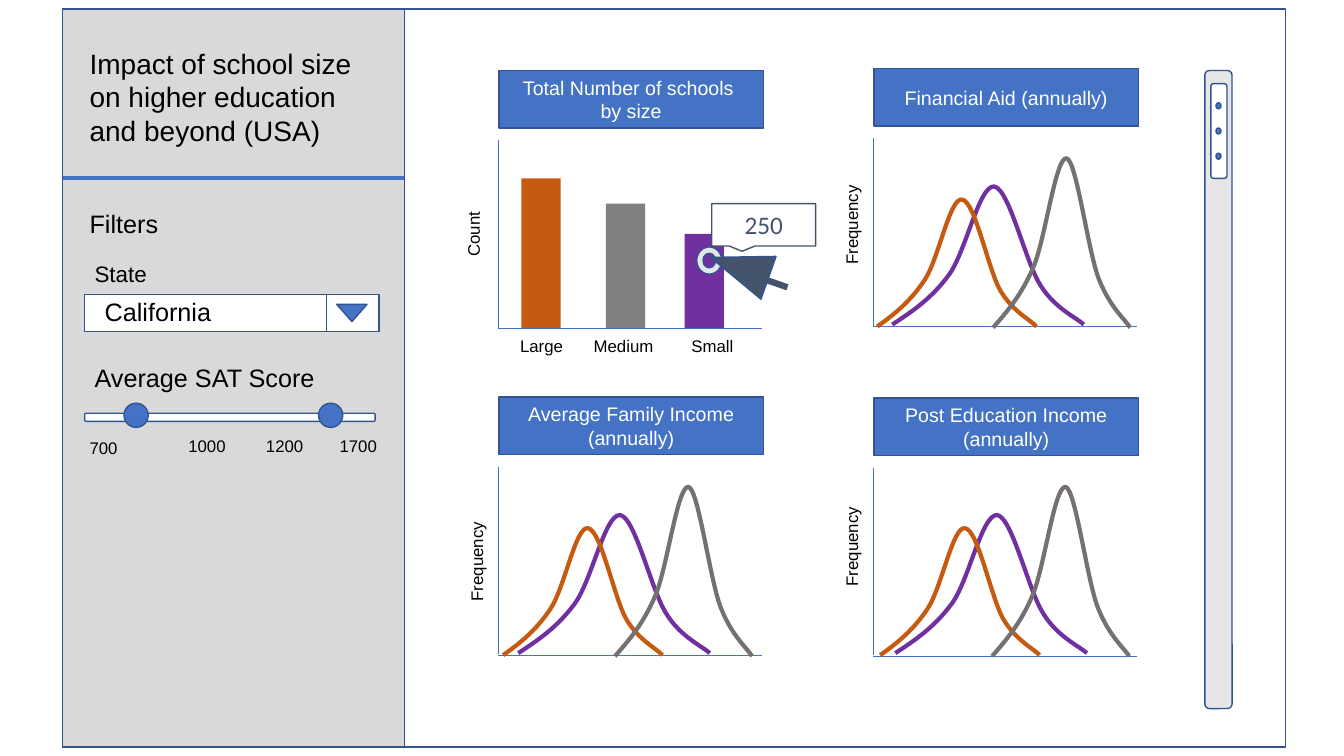
from dataclasses import dataclass

from lxml.etree import SubElement
from pptx import Presentation
from pptx.dml.color import RGBColor
from pptx.enum.shapes import MSO_CONNECTOR, MSO_SHAPE as Kind
from pptx.enum.text import MSO_ANCHOR as Anchor, MSO_AUTO_SIZE as AutoSize, PP_ALIGN as Align
from pptx.oxml.ns import qn
from pptx.util import Emu, Pt

COLUMNS, ROWS, CELL = 1333, 750, 9144  # fine grid; a cell is 9144 EMU


@dataclass(frozen=True)
class Theme:
    accent: str = "4472C4"
    edge: str = "325491"
    panel: str = "D9D9D9"
    pale: str = "E7E6E6"
    slate: str = "44546A"
    orange: str = "C55A11"
    purple: str = "7030A0"
    gray: str = "808080"
    dark_gray: str = "767171"
    white: str = "FFFFFF"
    black: str = "000000"
    font: str = "Arial"
    callout_font: str = "Calibri"
    title: int = 20
    heading: int = 18
    label: int = 16
    header: int = 14
    small: int = 12


THEME = Theme()

# Bezier points of each curve: columns from its start, rows above the baseline
CURVES = [
    (THEME.purple, [(0, 2), (20, 15), (39, 28), (56, 51), (73, 74), (86, 140), (101, 139),
                    (116, 137), (132, 64), (147, 41), (161, 18), (184, 8), (190, 2)]),
    (THEME.orange, [(0, 0), (17, 12), (33, 25), (47, 46), (61, 67), (72, 128), (84, 126),
                    (97, 125), (110, 57), (122, 36), (134, 15), (153, 6), (158, 0)]),
    (THEME.dark_gray, [(0, -1), (14, 15), (28, 31), (40, 59), (52, 87), (62, 169), (73, 167),
                       (83, 164), (94, 75), (105, 47), (116, 19), (131, 7), (136, -1)]),
]


@dataclass(frozen=True)
class Box:
    left: int
    top: int
    width: int
    height: int

    def point(self, x, y):
        return Emu((self.left + x) * CELL), Emu((self.top + y) * CELL)

    def place(self, x, y, width, height):
        return *self.point(x, y), Emu(width * CELL), Emu(height * CELL)


def set_format(target, values):
    for name, value in values.items():
        setattr(target, name, value)


def set_outline(line, color, width):
    line.color.rgb = RGBColor.from_string(color)
    line.width = Pt(width)


def write(shape, lines, size, color=THEME.black, font=THEME.font, align=Align.LEFT, **frame_format):
    frame = shape.text_frame
    set_format(frame, frame_format)
    for number, line in enumerate(lines):
        para = frame.add_paragraph() if number else frame.paragraphs[0]
        para.alignment = align
        span = para.add_run()
        span.text = line
        set_format(span.font, {"size": Pt(size), "name": font})
        span.font.color.rgb = RGBColor.from_string(color)


def add_text(page, place, text, size=THEME.small, wrap=False, rotation=0):
    shape = page.shapes.add_textbox(*place)
    shape.rotation = rotation
    write(shape, [text], size, word_wrap=wrap, auto_size=AutoSize.SHAPE_TO_FIT_TEXT)


def add_block(page, kind, place, fill=None, edge=THEME.edge, rotation=0):
    shape = page.shapes.add_shape(kind, *place)
    shape.rotation = rotation
    shape.shadow.inherit = False
    if fill:
        shape.fill.solid()
        shape.fill.fore_color.rgb = RGBColor.from_string(fill)
    else:
        shape.fill.background()
    if edge:
        set_outline(shape.line, edge, 1)
    else:
        shape.line.fill.background()
    return shape


def add_line(page, start, end, color, width):
    line = page.shapes.add_connector(MSO_CONNECTOR.STRAIGHT, *start, *end)
    set_outline(line.line, color, width)
    SubElement(line._element.spPr, qn("a:effectLst"))


def add_curve(page, box, left, base, color, points):
    spots = [box.point(left + x, base - y) for x, y in points]
    builder = page.shapes.build_freeform(*spots[0])
    builder.add_line_segments(spots[3::3], close=False)
    curve = builder.convert_to_shape()
    # Bend each segment with its two control points
    for number, segment in enumerate(list(curve._element.iter(qn("a:lnTo")))):
        segment.tag = qn("a:cubicBezTo")
        end = segment[0]
        for x, y in spots[3 * number + 1:3 * number + 3]:
            SubElement(segment, qn("a:pt"), x=str(x - curve.left), y=str(y - curve.top))
        segment.append(end)
    curve.fill.background()
    curve.shadow.inherit = False
    set_outline(curve.line, color, 3)


def add_sidebar(page, box):
    add_block(page, Kind.RECTANGLE, box.place(0, 0, box.width, box.height), THEME.panel, None)
    add_text(page, box.place(17, 32, 293, 111),
             "Impact of school size on higher education and beyond (USA)", THEME.title, wrap=True)
    add_line(page, box.point(box.width, 168), box.point(0, 168), THEME.accent, 3)
    add_text(page, box.place(17, 193, 89, 40), "Filters", THEME.heading)
    # State drop-down
    add_text(page, box.place(22, 244, 73, 37), "State", THEME.label)
    for left, width in ((22, 291), (262, 52)):
        add_block(page, Kind.RECTANGLE, box.place(left, 283, width, 37), THEME.white)
    add_block(page, Kind.ISOSCELES_TRIANGLE, box.place(272, 293, 30, 17), THEME.accent, rotation=180)
    add_text(page, box.place(32, 280, 127, 40), "California", THEME.heading)
    # Score slider
    add_text(page, box.place(22, 346, 240, 40), "Average SAT Score", THEME.heading)
    add_block(page, Kind.ROUNDED_RECTANGLE, box.place(22, 401, 288, 8), THEME.white)
    for left in (61, 254):
        add_block(page, Kind.OVAL, box.place(left, 391, 24, 24), THEME.accent)
    for left, top, width, score in ((17, 420, 48, "700"), (115, 418, 57, "1000"),
                                    (192, 418, 57, "1200"), (265, 418, 57, "1700")):
        add_text(page, box.place(left, top, width, 30), score)
    add_block(page, Kind.RECTANGLE, box.place(0, 0, box.width - 1, box.height))


def add_panel(page, box, title, axis_label, label_place):
    header = add_block(page, Kind.RECTANGLE, box.place(0, 0, box.width, 57), THEME.accent)
    write(header, title, THEME.header, THEME.white, align=Align.CENTER,
          vertical_anchor=Anchor.MIDDLE, word_wrap=True)
    add_line(page, box.point(-1, 69), box.point(-1, box.height - 1), THEME.accent, 0.5)
    add_line(page, box.point(-1, box.height), box.point(box.width - 1, box.height), THEME.accent, 0.5)
    add_text(page, box.place(*label_place), axis_label, rotation=270)


def add_bar_panel(page, box):
    for left, height, color in ((22, 149, THEME.orange), (106, 124, THEME.gray), (184, 94, THEME.purple)):
        add_block(page, Kind.RECTANGLE, box.place(left, box.height - height, 39, height), color, None)
    add_panel(page, box, ["Total Number of schools ", "by size"], "Count", (-58, 147, 65, 30))
    for left, width, size_name in ((11, 63, "Large"), (84, 80, "Medium"), (181, 62, "Small")):
        add_text(page, box.place(left, box.height + 2, width, 30), size_name)
    # Pointer with value callout
    add_line(page, box.point(257, 205), box.point(286, 215), THEME.slate, 4.5)
    callout = add_block(page, Kind.RECTANGULAR_CALLOUT, box.place(211, 132, 103, 42), THEME.white, THEME.slate)
    write(callout, ["250"], THEME.heading, THEME.slate, THEME.callout_font, Align.CENTER,
          vertical_anchor=Anchor.MIDDLE)
    add_block(page, Kind.DONUT, box.place(196, 175, 25, 27), THEME.pale)
    add_block(page, Kind.ISOSCELES_TRIANGLE, box.place(216, 165, 45, 61), THEME.slate, rotation=289.4)


def add_curve_panel(page, box, title, label_top, curve_lefts, lift=0):
    add_panel(page, box, [title], "Frequency", (-72, label_top, 99, 30))
    for left, (color, points) in zip(curve_lefts, CURVES):
        add_curve(page, box, left, box.height - lift, color, points)


def add_scroll_bar(page, box):
    add_block(page, Kind.ROUNDED_RECTANGLE, box.place(0, 0, box.width, box.height), THEME.pale)
    add_block(page, Kind.ROUNDED_RECTANGLE, box.place(6, 13, 16, 94), THEME.white)
    for number in range(3):
        add_block(page, Kind.OVAL, box.place(11, 32 + 25 * number, 5, 6), THEME.accent)


def main():
    deck = Presentation()
    set_format(deck, {"slide_width": Emu(COLUMNS * CELL), "slide_height": Emu(ROWS * CELL)})
    page = deck.slides.add_slide(deck.slide_layouts[6])
    frame = Box(62, 9, 1213, 732)
    add_sidebar(page, Box(frame.left, frame.top, 340, frame.height))
    add_block(page, Kind.RECTANGLE, frame.place(0, 0, frame.width, frame.height))
    add_bar_panel(page, Box(495, 70, 262, 256))
    add_curve_panel(page, Box(867, 68, 262, 256), "Financial Aid (annually)", 140, (18, 3, 118))
    add_curve_panel(page, Box(495, 394, 262, 256), "Average Family Income (annually)", 148, (19, 4, 115))
    add_curve_panel(page, Box(867, 395, 262, 256), "Post Education Income (annually)", 132, (21, 6, 117), lift=1)
    add_scroll_bar(page, Box(1195, 70, 27, 633))
    deck.save("out.pptx")


if __name__ == "__main__":
    main()
